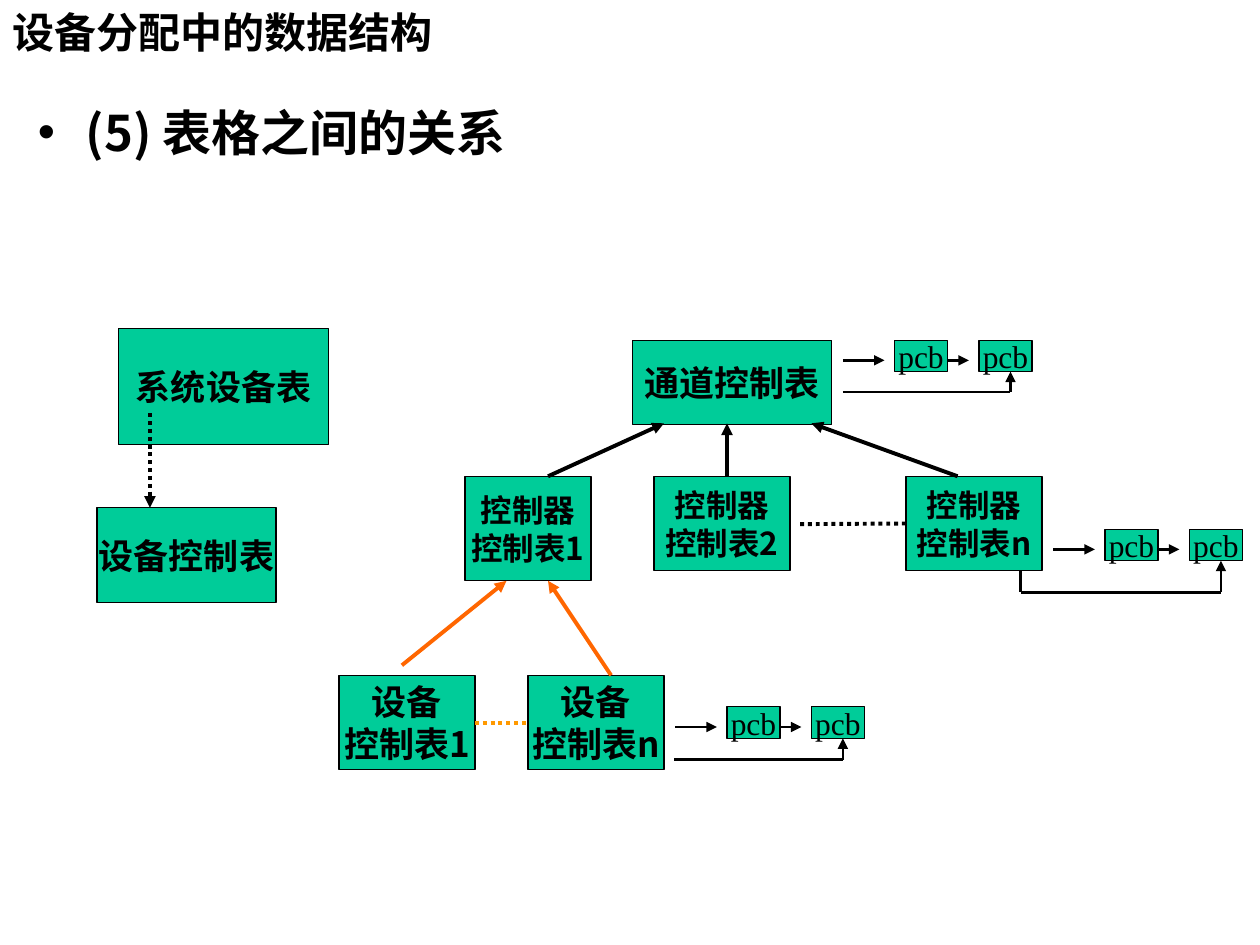
import pptx
import pptx.util
import pptx.dml.color
import pptx.enum.dml
import pptx.enum.shapes
import pptx.enum.text
import pptx.oxml
import pptx.oxml.ns

Inches, Pt = pptx.util.Inches, pptx.util.Pt
LEFT, RIGHT = 1, 3


def color(hex_string):
    return pptx.dml.color.RGBColor.from_string(hex_string)


def add_element(parent, tag, **attributes):
    element = pptx.oxml.parse_xml(f"<{tag} {pptx.oxml.ns.nsdecls('a')}/>")
    for name, value in attributes.items():
        element.set(name, value)
    parent.append(element)


class Diagram:
    """Holds the style and the slide being drawn."""
    heading_font = "Noto Sans CJK SC"
    queue_font = "Times New Roman"
    ink, fill = "000000", "00CC99"
    device_arrow, device_dots = "FF6600", "FF9900"

    def __init__(self, slide):
        self.slide = slide

    def add_text(self, paragraph, text, size, font=heading_font, bold=True):
        run = paragraph.add_run()
        run.text = text
        run.font.size = Pt(size)
        run.font.bold = bold
        run.font.name = font
        run.font.color.rgb = color(self.ink)
        add_element(run._r.get_or_add_rPr(), "a:ea", typeface=font)

    def placeholder(self, holder, left, top, width, height, text, size):
        holder.left, holder.top = Inches(left), Inches(top)
        holder.width, holder.height = Inches(width), Inches(height)
        frame = holder.text_frame
        frame.word_wrap = True
        frame.auto_size = pptx.enum.text.MSO_AUTO_SIZE.NONE
        paragraph = frame.paragraphs[0]
        paragraph.alignment = pptx.enum.text.PP_ALIGN.LEFT
        paragraph.space_before = Pt(0)
        self.add_text(paragraph, text, size)
        return paragraph

    def title(self, text):
        holder = self.slide.shapes.title
        self.placeholder(holder, 0, 0, 10, 0.5, text, 24)
        holder.text_frame.vertical_anchor = pptx.enum.text.MSO_ANCHOR.MIDDLE

    def bullet(self, text):
        holder = self.slide.placeholders[1]
        paragraph = self.placeholder(holder, 0.2, 0.76, 9.8, 6.09, text, 28)
        properties = paragraph._p.get_or_add_pPr()
        properties.set("marL", str(Inches(0.38)))
        properties.set("indent", str(-Inches(0.38)))
        add_element(properties, "a:buChar", char="•")

    def box(self, left, top, width, height, lines, size=20, **run_style):
        shape = self.slide.shapes.add_shape(
            pptx.enum.shapes.MSO_SHAPE.RECTANGLE,
            Inches(left), Inches(top), Inches(width), Inches(height))
        shape.shadow.inherit = False
        shape.fill.solid()
        shape.fill.fore_color.rgb = color(self.fill)
        shape.line.color.rgb = color(self.ink)
        shape.line.width = Pt(0.75)
        frame = shape.text_frame
        frame.word_wrap = False
        frame.vertical_anchor = pptx.enum.text.MSO_ANCHOR.MIDDLE
        for number, text in enumerate(lines):
            paragraph = frame.add_paragraph() if number else frame.paragraphs[0]
            paragraph.alignment = pptx.enum.text.PP_ALIGN.CENTER
            self.add_text(paragraph, text, size, **run_style)
        return shape

    def line(self, start, end, width=2.25, stroke=ink, arrow=True, dotted=False):
        connector = self.slide.shapes.add_connector(
            pptx.enum.shapes.MSO_CONNECTOR.STRAIGHT,
            *(Inches(value) for value in (*start, *end)))
        connector.line.color.rgb = color(stroke)
        connector.line.width = Pt(width)
        if dotted:
            connector.line.dash_style = pptx.enum.dml.MSO_LINE.ROUND_DOT
        if arrow:
            add_element(connector.get_or_add_ln(), "a:tailEnd", type="triangle")
        add_element(connector._element.spPr, "a:effectLst")
        return connector

    def queue(self, left, top, return_left, return_top):
        """Two linked pcb boxes, with a line from the table to the last one."""
        width, height, step = 0.42, 0.25, 0.67
        middle = top + 0.16
        for pcb_left in (left, left + step):
            self.box(pcb_left, top, width, height, ["pcb"], 18,
                     font=self.queue_font, bold=False)
        self.line((left - 0.41, middle), (left - 0.08, middle), 1.5)
        self.line((left + width, middle), (left + step - 0.08, middle), 1.5)
        corner = (left + step + 0.25, return_top)
        self.line((return_left, return_top), corner, 1.5, arrow=False)
        self.line(corner, (corner[0], top + height), 1.5)


def main():
    presentation = pptx.Presentation()
    presentation.slide_width, presentation.slide_height = Inches(10), Inches(7.5)
    diagram = Diagram(presentation.slides.add_slide(presentation.slide_layouts[1]))
    diagram.title("设备分配中的数据结构")
    diagram.bullet("(5) 表格之间的关系")

    # System device table and its device control table
    diagram.box(0.94, 2.61, 1.67, 0.92, ["系统设备表"])
    diagram.box(0.77, 4.03, 1.42, 0.75, ["设备控制表"])
    diagram.line((1.19, 3.28), (1.19, 4.03), dotted=True)

    # Channel, controllers and devices
    diagram.box(5.02, 2.7, 1.58, 0.67, ["通道控制表"])
    controllers = [
        diagram.box(left, 3.78, width, height, ["控制器", f"控制表{number}"], 18)
        for left, width, height, number in (
            (3.69, 1, 0.83, "1"), (5.19, 1.08, 0.75, "2"), (7.19, 1.08, 0.75, "n"))]
    devices = [
        diagram.box(left, 5.36, 1.08, 0.75, ["设备", f"控制表{number}"])
        for left, number in ((2.69, "1"), (4.19, "n"))]

    for controller_x, channel_x in ((4.35, 5.27), (5.77, 5.77), (7.6, 6.44)):
        diagram.line((controller_x, 3.78), (channel_x, 3.36))
    for start, end in (((3.19, 5.28), (4.02, 4.61)), ((4.85, 5.36), (4.35, 4.61))):
        diagram.line(start, end, stroke=diagram.device_arrow)

    more_controllers = diagram.line((6.35, 4.16), (7.19, 4.16), arrow=False, dotted=True)
    more_controllers.end_connect(controllers[-1], LEFT)
    more_devices = diagram.line((3.77, 5.74), (4.19, 5.74), arrow=False, dotted=True,
                                stroke=diagram.device_dots)
    more_devices.begin_connect(devices[0], RIGHT)
    more_devices.end_connect(devices[1], LEFT)

    # Waiting queues of the channel, controller n and device n
    diagram.queue(7.1, 2.7, 6.69, 3.11)
    diagram.queue(8.77, 4.2, 8.1, 4.7)
    diagram.line((8.1, 4.53), (8.1, 4.7), 1.5, arrow=False)
    diagram.queue(5.77, 5.61, 5.35, 6.03)

    presentation.save("out.pptx")


if __name__ == "__main__":
    main()
